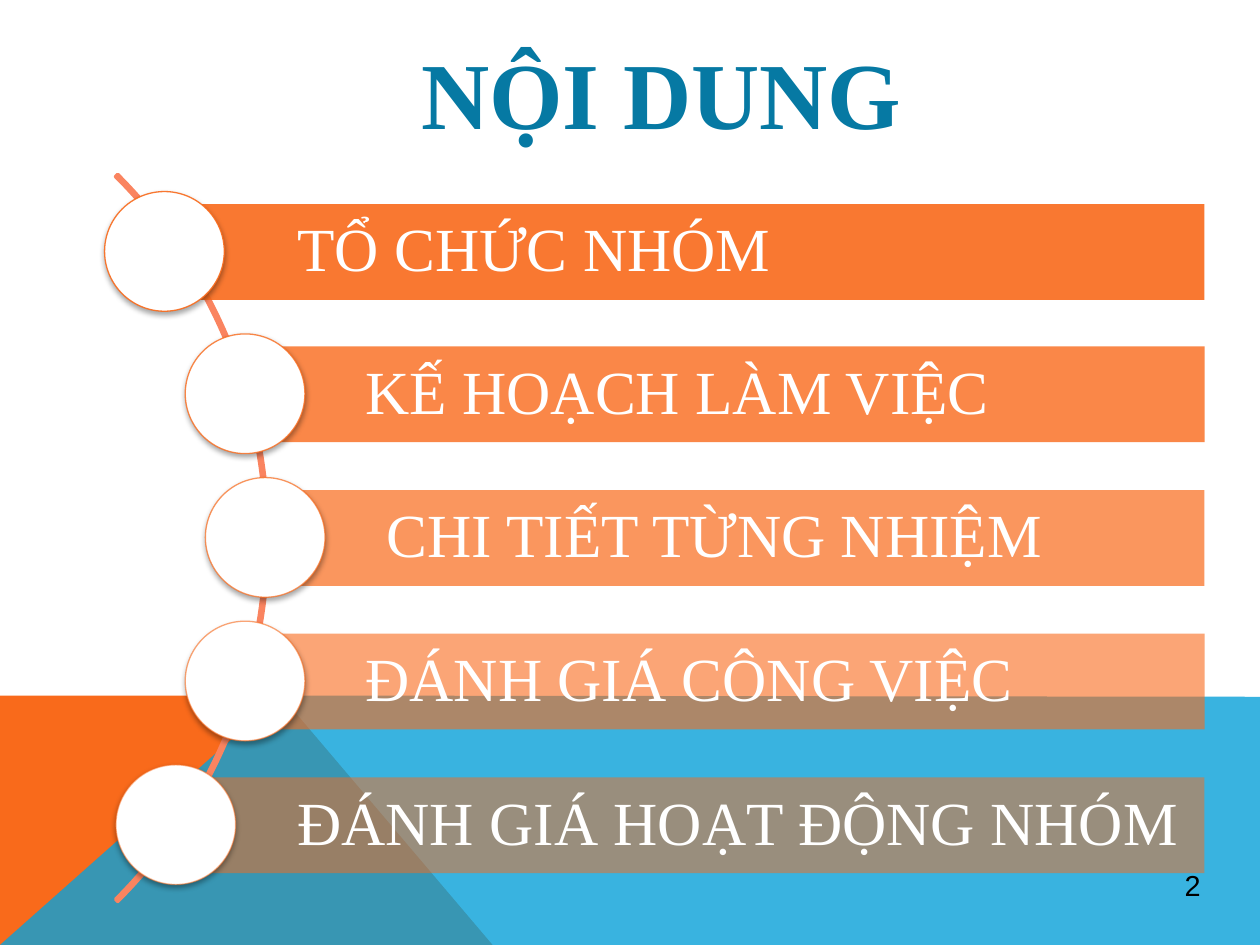
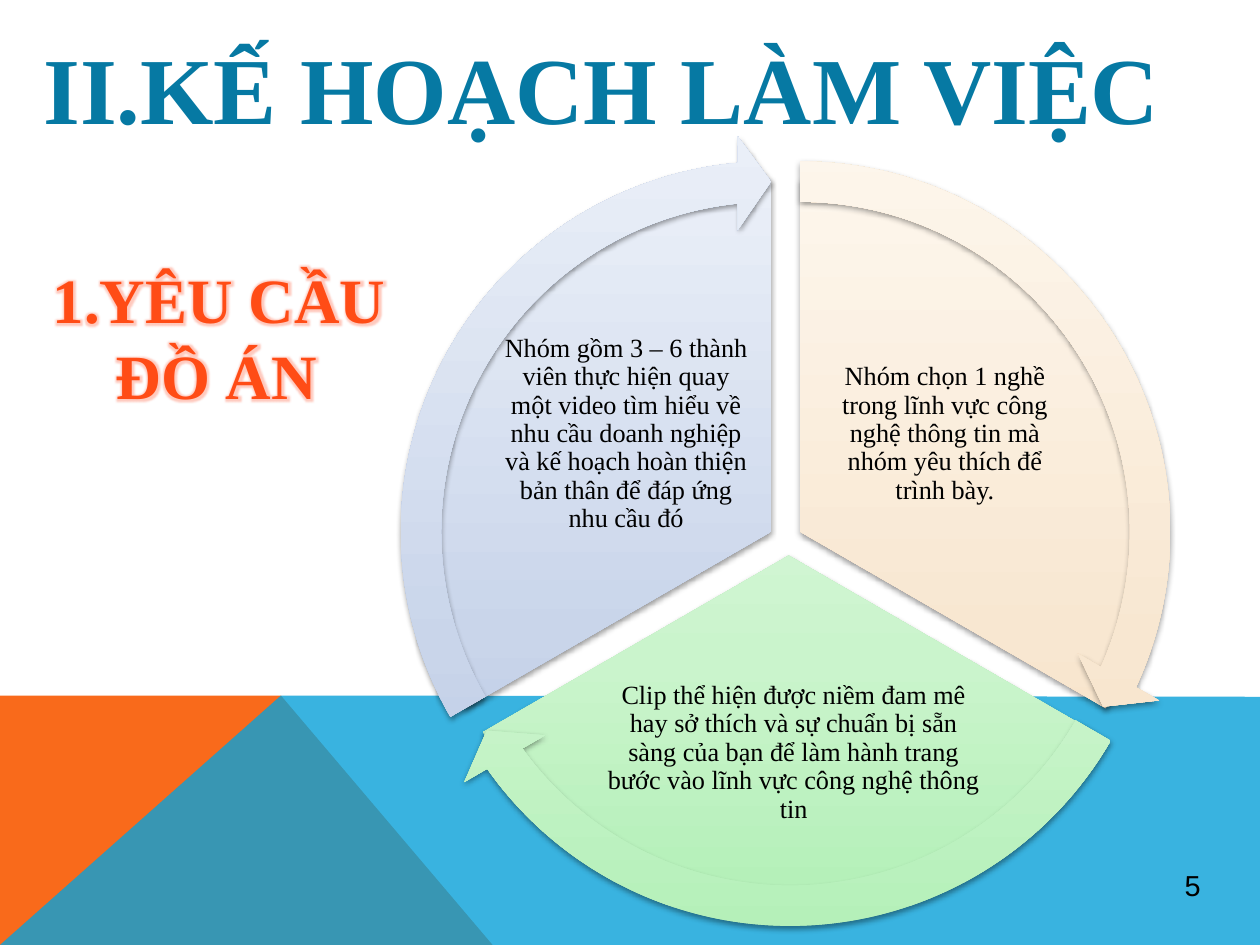
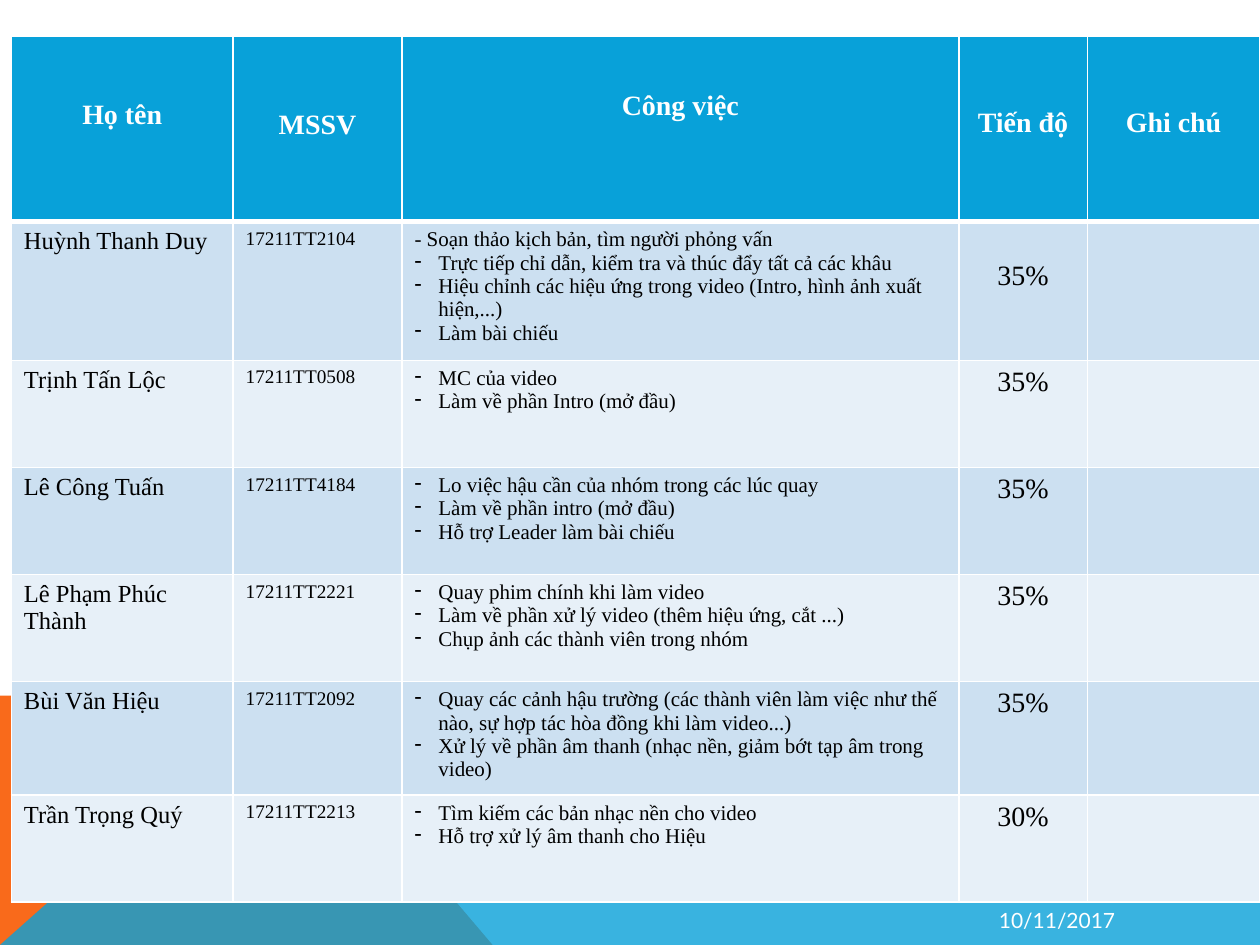
from dataclasses import dataclass

import pptx
import pptx.dml.color
import pptx.enum.shapes
import pptx.enum.text
import pptx.oxml
import pptx.oxml.ns
import pptx.util

PX = 9144  # EMU per px, 100 px to the inch
SHAPE = pptx.enum.shapes.MSO_SHAPE
ALIGN = pptx.enum.text.PP_ALIGN
ANCHOR = pptx.enum.text.MSO_ANCHOR
qn = pptx.oxml.ns.qn


@dataclass(frozen=True)
class Theme:
    orange: str = "F96A1B"
    blue: str = "08A1D9"
    title: str = "0679A3"
    heading: str = "FF4C16"
    glow: str = "FFA794"
    arc: str = "FA8460"
    white: str = "FFFFFF"
    black: str = "000000"
    row_bands: tuple = ("CCE0F1", "E7F0F8")
    font: str = "Times New Roman"
    number_font: str = "Arial"
    date_font: str = "Lato"
    title_size: float = 54
    heading_size: float = 36
    bar_size: float = 35
    head_size: float = 16
    number_size: float = 16.5
    sector_size: float = 15
    name_size: float = 14
    task_size: float = 12
    code_size: float = 11


T = Theme()

AGENDA = [  # text, bar left, circle left
    ("TỔ CHỨC NHÓM", 140, 83),
    ("KẾ HOẠCH LÀM VIỆC", 194, 147),
    ("CHI TIẾT TỪNG NHIỆM", 211, 163),
    ("ĐÁNH GIÁ CÔNG VIỆC", 194, 147),
    ("ĐÁNH GIÁ HOẠT ĐỘNG NHÓM", 140, 92),
]

SECTORS = [  # text, text box, pie corner, arrow corner, gradient
    ("Nhóm chọn 1 nghề trong lĩnh vực công nghệ thông tin mà nhóm yêu thích để trình bày.",
     (650, 261, 200, 167), (355, 142), (320, 107), ("F6DEBD", "F8E7D1", "FDF6EC")),
    ("Clip thể hiện được niềm đam mê hay sở thích và sự chuẩn bị sẵn sàng của bạn "
     "để làm hành trang bước vào lĩnh vực công nghệ thông tin",
     (480, 524, 300, 147), (346, 161), (312, 126), ("B3F0B7", "CAF4CC", "EAFBEB")),
    ("Nhóm gồm 3 – 6 thành viên thực hiện quay một video tìm hiểu về nhu cầu doanh nghiệp "
     "và kế hoạch hoàn thiện bản thân để đáp ứng nhu cầu đó",
     (397, 261, 200, 167), (332, 142), (297, 107), ("B2C3E3", "C9D5EA", "EAEFF8")),
]

COLUMNS = [  # heading, width, top margin of the heading
    ("Họ tên", 176, 50), ("MSSV", 134, 58), ("Công việc", 442, 43),
    ("Tiến độ", 102, 56), ("Ghi chú", 137, 56),
]

MEMBERS = [  # name, code, tasks, progress, row height, top margin of progress
    ("Huỳnh Thanh Duy", "17211TT2104",
     ["- Soạn thảo kịch bản, tìm người phỏng vấn",
      "Trực tiếp chỉ dẫn, kiểm tra và thúc đẩy tất cả các khâu",
      "Hiệu chỉnh các hiệu ứng trong video (Intro, hình ảnh xuất hiện,...)",
      "Làm bài chiếu"], "35%", 110, 31),
    ("Trịnh Tấn Lộc", "17211TT0508",
     ["MC của video", "Làm về phần Intro (mở đầu)"], "35%", 85, 5),
    ("Lê Công Tuấn", "17211TT4184",
     ["Lo việc hậu cần của nhóm trong các lúc quay", "Làm về phần intro (mở đầu)",
      "Hỗ trợ Leader làm bài chiếu"], "35%", 85, 5),
    ("Lê Phạm Phúc Thành", "17211TT2221",
     ["Quay phim chính khi làm video", "Làm về phần xử lý video (thêm hiệu ứng, cắt ...)",
      "Chụp ảnh các thành viên trong nhóm"], "35%", 85, 5),
    ("Bùi Văn Hiệu", "17211TT2092",
     ["Quay các cảnh hậu trường (các thành viên làm việc như thế nào, "
      "sự hợp tác hòa đồng khi làm video...)",
      "Xử lý về phần âm thanh (nhạc nền, giảm bớt tạp âm trong video)"], "35%", 90, 5),
    ("Trần Trọng Quý", "17211TT2213",
     ["Tìm kiếm các bản nhạc nền cho video", "Hỗ trợ xử lý âm thanh cho Hiệu"], "30%", 85, 5),
]


# Basic helpers
def rgb(color):
    return pptx.dml.color.RGBColor.from_string(color)


def px(*values):
    return [round(v * PX) for v in values]


def xml(tag, inner="", **attrs):
    text = "".join(f' {k}="{v}"' for k, v in attrs.items())
    return pptx.oxml.parse_xml(
        f'<a:{tag} {pptx.oxml.ns.nsdecls("a")}{text}>{inner}</a:{tag}>')


def color_xml(color, alpha=100):
    return f'<a:srgbClr val="{color}"><a:alpha val="{alpha * 1000}"/></a:srgbClr>'


def fade(parent, alpha):
    next(parent.iter(qn("a:srgbClr"))).append(xml("alpha", val=alpha * 1000))


def paint(sp, fill=None, line=None, width=1.0):
    sp.shadow.inherit = False
    if fill:
        sp.fill.solid()
        sp.fill.fore_color.rgb = rgb(fill)
    else:
        sp.fill.background()
    if line:
        sp.line.color.rgb = rgb(line)
        sp.line.width = pptx.util.Pt(width)
    else:
        sp.line.fill.background()


def add_shape(slide, kind, box, fill=None, line=None, width=1.0):
    sp = slide.shapes.add_shape(kind, *px(*box))
    paint(sp, fill, line, width)
    return sp


def drop_shadow(sp, alpha, distance):
    attrs = f'blurRad="40000" dist="{distance}" dir="5400000" rotWithShape="0"'
    sp._element.spPr.find(qn("a:effectLst")).append(
        xml("outerShdw", color_xml(T.black, alpha), **dict(
            pair.replace('"', "").split("=") for pair in attrs.split())))


def fill_gradient(sp, colors):
    sp.fill.gradient()
    grad = sp._element.spPr.find(qn("a:gradFill"))
    stops = "".join(f'<a:gs pos="{pos}">{color_xml(c)}</a:gs>'
                    for pos, c in zip((0, 35000, 100000), colors))
    grad.replace(grad.find(qn("a:gsLst")), xml("gsLst", stops))
    grad.replace(grad.find(qn("a:lin")), xml("lin", ang=270 * 60000, scaled=0))


def degrees(angle):
    return angle * 0.6  # shape adjustments count 1/60000 degree in units of 100000


def set_adjustments(sp, *values):
    for i, value in enumerate(values):
        sp.adjustments[i] = value


# Text
def add_run(p, text, size, color=T.black, bold=False, font=T.font):
    r = p.add_run()
    r.text = text
    r.font.size = pptx.util.Pt(size)
    r.font.bold = bold
    r.font.color.rgb = rgb(color)
    r.font.name = font
    return r


def set_frame(tf, insets=(10, 5, 10, 5), anchor=ANCHOR.TOP, wrap=True):
    tf.margin_left, tf.margin_top, tf.margin_right, tf.margin_bottom = px(*insets)
    tf.vertical_anchor = anchor
    tf.word_wrap = wrap


def write(tf, text, size, align=ALIGN.LEFT, spacing=None, **style):
    p = tf.paragraphs[0]
    p.alignment = align
    p.line_spacing = spacing
    return add_run(p, text, size, **style)


def add_text_box(slide, box, **frame):
    tf = slide.shapes.add_textbox(*px(*box)).text_frame
    set_frame(tf, **frame)
    return tf


def add_title(slide, text, box):
    tf = add_text_box(slide, box, wrap=False)
    write(tf, text, T.title_size, ALIGN.CENTER, color=T.title, bold=True)


# Shared footer
def add_band(slide, points, color, alpha=100):
    builder = slide.shapes.build_freeform(*points[0], scale=PX)
    builder.add_line_segments(points[1:], close=True)
    sp = builder.convert_to_shape()
    paint(sp, color)
    fade(sp._element.spPr, alpha)


def add_slide(prs, number=None):
    slide = prs.slides.add_slide(prs.slide_layouts[6])
    add_band(slide, [(0, 750), (0, 552), (223, 552), (391, 750)], T.orange)
    add_band(slide, [(0, 750), (223, 552), (1000, 553), (1000, 750)], T.blue, 80)
    if number:
        sp = add_shape(slide, SHAPE.OVAL, (919, 675, 55, 55))
        set_frame(sp.text_frame, (1, 1, 1, 1), ANCHOR.MIDDLE)
        write(sp.text_frame, number, T.number_size, ALIGN.CENTER, font=T.number_font)
    return slide


# Agenda
def add_agenda_item(slide, i, text, bar_left, circle_left):
    top, alpha = 162 + 455 * i // 4, 90 - 10 * i
    bar = add_shape(slide, SHAPE.RECTANGLE, (bar_left, top, 956 - bar_left, 76), T.orange)
    fade(bar._element.spPr, alpha)
    set_frame(bar.text_frame, (96, 10, 10, 10), ANCHOR.MIDDLE)
    write(bar.text_frame, text, T.bar_size, spacing=0.9, color=T.white)
    circle = add_shape(slide, SHAPE.OVAL, (circle_left, top - 10, 95, 95),
                       T.white, T.orange, 0.75)
    fade(circle._element.spPr.find(qn("a:ln")), alpha)
    drop_shadow(circle, 35, 23000)


def build_agenda(prs):
    slide = add_slide(prs, "2")
    add_title(slide, "NỘI DUNG", (313, 23, 424, 101))
    arc = add_shape(slide, SHAPE.BLOCK_ARC, (-603, 19, 816, 816), line=T.arc, width=2)
    set_adjustments(arc, degrees(315), degrees(45), 0.3 / 100)
    for i, item in enumerate(AGENDA):
        add_agenda_item(slide, i, *item)


# Requirements cycle
def add_cycle_part(slide, kind, corner, size, colors, adjustments):
    sp = add_shape(slide, kind, (*corner, size, size))
    set_adjustments(sp, *adjustments)
    fill_gradient(sp, colors)
    drop_shadow(sp, 38, 20000)


def add_heading(slide):
    tf = add_text_box(slide, (32, 202, 842, 131))
    for text, indent in (("1.YÊU CẦU", 0), ("ĐỒ ÁN", 50)):
        p = tf.paragraphs[0] if not indent else tf.add_paragraph()
        p._p.get_or_add_pPr().set("marL", str(indent * PX))
        r = add_run(p, text, T.heading_size, T.heading, bold=True)
        glow = f'<a:glow rad="63500">{color_xml(T.glow, 60)}</a:glow>'
        r._r.rPr.find(qn("a:solidFill")).addnext(xml("effectLst", glow))


def build_requirements(prs):
    slide = add_slide(prs, "5")
    add_title(slide, "II.KẾ HOẠCH LÀM VIỆC", (20, 19, 915, 101))
    add_heading(slide)
    starts = [(270 + 120 * i) % 360 for i in range(len(SECTORS))]
    for start, (text, box, corner, _, colors) in zip(starts, SECTORS):
        end = (start + 120) % 360
        add_cycle_part(slide, SHAPE.PIE, corner, 560, colors, (degrees(start), degrees(end)))
        tf = add_text_box(slide, box, insets=(2, 2, 2, 2), anchor=ANCHOR.MIDDLE)
        write(tf, text, T.sector_size, ALIGN.CENTER, spacing=0.9)
    head = 5.46
    for start, (_, _, _, corner, colors) in zip(starts, SECTORS):
        end = (start + 120) % 360 - head
        add_cycle_part(slide, SHAPE.CIRCULAR_ARROW, corner, 630, colors,
                       (5.1 / 100, degrees(head), degrees(end), degrees(start), 5.9 / 100))


# Work table
def style_cell(cell, fill, top=5, bottom_line=1):
    tcPr = cell._tc.get_or_add_tcPr()
    for side, width in (("L", 1), ("R", 1), ("T", 1), ("B", bottom_line)):
        tcPr.append(xml(f"ln{side}", f"<a:solidFill>{color_xml(T.white)}</a:solidFill>",
                        w=width * 12700))
    cell.fill.solid()
    cell.fill.fore_color.rgb = rgb(fill)
    cell.margin_top = top * PX


def write_tasks(tf, tasks):
    for i, task in enumerate(tasks):
        p = tf.paragraphs[0] if i == 0 else tf.add_paragraph()
        if not task.startswith("- "):
            pPr = p._p.get_or_add_pPr()
            pPr.set("marL", str(19 * PX))
            pPr.set("indent", str(-19 * PX))
            pPr.append(xml("buChar", char="-"))
        add_run(p, task, T.task_size)


def build_work_table(prs):
    slide = add_slide(prs)
    tf = add_text_box(slide, (783, 710, 210, 40), anchor=ANCHOR.MIDDLE)
    write(tf, "10/11/2017", T.task_size, color=T.white, font=T.date_font)

    table = slide.shapes.add_table(len(MEMBERS) + 1, len(COLUMNS), *px(9, 29, 991, 687)).table
    table.rows[0].height = 147 * PX
    for col, (heading, width, top) in enumerate(COLUMNS):
        table.columns[col].width = width * PX
        cell = table.cell(0, col)
        style_cell(cell, T.blue, top, bottom_line=3)
        write(cell.text_frame, heading, T.head_size, ALIGN.CENTER, color=T.white, bold=True)

    for row, (name, code, tasks, progress, height, top) in enumerate(MEMBERS, 1):
        table.rows[row].height = height * PX
        cells = [table.cell(row, col) for col in range(len(COLUMNS))]
        for col, cell in enumerate(cells):
            style_cell(cell, T.row_bands[(row - 1) % 2], top if col == 3 else 5)
        write(cells[0].text_frame, name, T.name_size)
        write(cells[1].text_frame, code, T.code_size)
        write_tasks(cells[2].text_frame, tasks)
        write(cells[3].text_frame, progress, T.head_size, ALIGN.CENTER)


def main():
    prs = pptx.Presentation()
    prs.slide_width, prs.slide_height = px(1000, 750)
    build_agenda(prs)
    build_requirements(prs)
    build_work_table(prs)
    prs.save("out.pptx")


if __name__ == "__main__":
    main()
